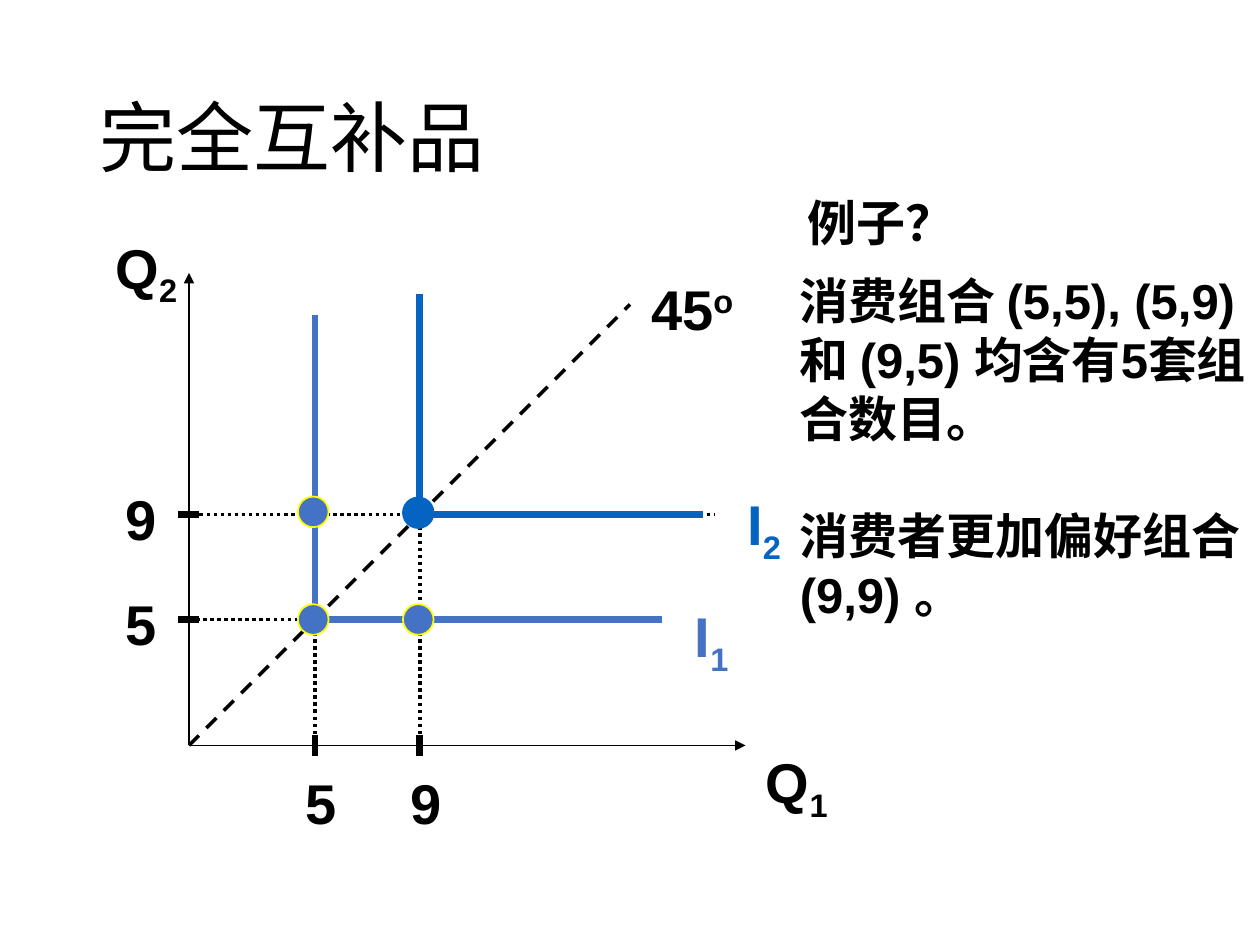
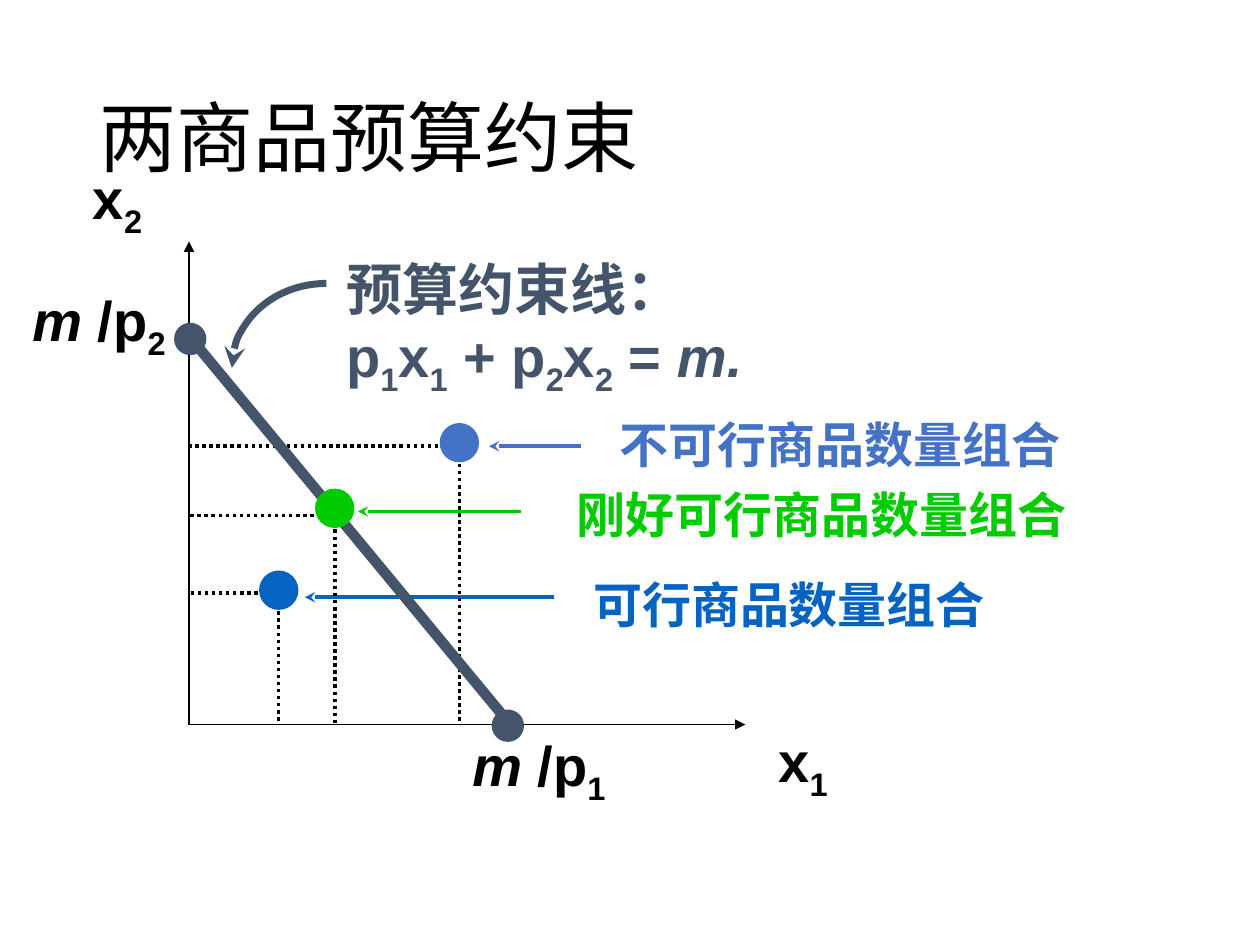
from dataclasses import dataclass
from typing import Any, NamedTuple

import pptx
import pptx.dml.color
import pptx.enum.dml
import pptx.enum.lang
import pptx.enum.shapes
import pptx.enum.text
import pptx.oxml
import pptx.oxml.ns
import pptx.util

Pt = pptx.util.Pt
qn = pptx.oxml.ns.qn
Dash = pptx.enum.dml.MSO_LINE
Kind = pptx.enum.shapes.MSO_SHAPE
Point = tuple[float, float]

HUES = {
    "black": "000000",
    "yellow": "FFFF00",
    "blue": "4472C4",
    "deep": "0563C1",
    "slate": "44546A",
    "green": "00CC00",
}
FONT = {
    "name": "Arial",
    "bold": True,
    "language_id": pptx.enum.lang.MSO_LANGUAGE_ID.SIMPLIFIED_CHINESE,
}
TITLE = FONT | {"name": "Calibri", "bold": False}
LEFT = 108  # x of the vertical axis on both slides
DOT = 17.5
BIG = 22.5


class Run(NamedTuple):
    text: str
    base: int = 0
    ital: bool = False


class Label(NamedTuple):
    x: float
    y: float
    wide: float
    high: float
    paras: list[list[Run]]
    hue: str = "black"
    size: int = 32
    wrap: bool = False
    gap: float = 0


@dataclass
class Stroke:
    start: Point
    end: Point
    hue: str = "black"
    width: float = 1
    dash: Any = None
    tip: str = ""


@dataclass
class Bundle:
    """A marked point with its guides, arrow and caption."""
    hue: str
    mid: Point
    guide: float
    arrow: tuple[float, float, float]
    label: Point
    wide: float
    text: str


def rgb(hue: str) -> pptx.dml.color.RGBColor:
    return pptx.dml.color.RGBColor.from_string(HUES[hue])


def assign(obj: Any, values: dict[str, Any]) -> None:
    for name, value in values.items():
        setattr(obj, name, value)


def sub(text: str, low: str) -> list[Run]:
    """Text followed by a subscript."""
    return [Run(text), Run(low, -25)]


def write(slide: Any, label: Label, font: dict[str, Any] = FONT) -> Any:
    box = slide.shapes.add_textbox(*map(Pt, label[:4]))
    frame = box.text_frame
    assign(frame, {
        "word_wrap": label.wrap,
        "auto_size": pptx.enum.text.MSO_AUTO_SIZE.SHAPE_TO_FIT_TEXT,
    })
    for i, runs in enumerate(label.paras):
        para = frame.add_paragraph() if i else frame.paragraphs[0]
        if i and label.gap:
            para.space_before = Pt(label.gap)
        for part in runs:
            run = para.add_run()
            run.text = part.text
            assign(run.font, font | {"size": Pt(label.size), "italic": part.ital})
            run.font.color.rgb = rgb(label.hue)
            if part.base:
                run.font._element.set("baseline", str(part.base * 1000))
    return box


def ink(shape: Any, hue: str, width: float) -> None:
    shape.line.color.rgb = rgb(hue)
    shape.line.width = Pt(width)


def point(shape: Any, end: str, kind: str) -> None:
    """Put an arrowhead on the headEnd or tailEnd of an outline."""
    line = shape.element.spPr.find(qn("a:ln"))
    line.append(pptx.oxml.parse_xml(
        f'<a:{end} {pptx.oxml.ns.nsdecls("a")} type="{kind}"/>'))


def draw(slide: Any, stroke: Stroke) -> None:
    line = slide.shapes.add_connector(
        pptx.enum.shapes.MSO_CONNECTOR.STRAIGHT,
        *map(Pt, stroke.start + stroke.end))
    ink(line, stroke.hue, stroke.width)
    if stroke.dash:
        line.line.dash_style = stroke.dash
    if stroke.tip:
        point(line, "tailEnd", stroke.tip)
    line.element.spPr.append(pptx.oxml.parse_xml(
        f'<a:effectLst {pptx.oxml.ns.nsdecls("a")}/>'))


def dotted(slide: Any, start: Point, end: Point) -> None:
    draw(slide, Stroke(start, end, width=2, dash=Dash.ROUND_DOT))


def dot(slide: Any, mid: Point, size: float, hue: str, rim: str = "") -> None:
    x, y = mid
    disc = slide.shapes.add_shape(
        Kind.OVAL, Pt(x - size / 2), Pt(y - size / 2), Pt(size), Pt(size))
    disc.shadow.inherit = False
    disc.fill.solid()
    disc.fill.fore_color.rgb = rgb(hue)
    if rim:
        ink(disc, rim, 1)
    else:
        disc.line.fill.background()


def begin(deck: Any, title: str, top: float, base: float) -> Any:
    """Add a slide with its title and a pair of axes."""
    slide = deck.slides.add_slide(deck.slide_layouts[6])
    head = write(slide, Label(49.7, 28.8, 620.6, 104.4, [[Run(title)]],
                              size=44, wrap=True), TITLE)
    assign(head.text_frame, {
        "auto_size": pptx.enum.text.MSO_AUTO_SIZE.NONE,
        "vertical_anchor": pptx.enum.text.MSO_ANCHOR.MIDDLE,
    })
    head.text_frame.paragraphs[0].line_spacing = 0.9
    for end in ((LEFT, top), (426, base)):
        draw(slide, Stroke((LEFT, base), end, tip="triangle"))
    return slide


def goods(deck: Any) -> None:
    base = 426
    slide = begin(deck, "完全互补品", 156, base)
    steps = {"5": 72, "9": 132}
    (x5, y5), (x9, y9) = [(LEFT + s, base - s) for s in steps.values()]

    for name, step in steps.items():
        x, y = LEFT + step, base - step
        draw(slide, Stroke((x, base - 6), (x, base + 6), width=4))
        draw(slide, Stroke((LEFT + 6, y), (LEFT - 6, y), width=4))
        write(slide, Label(64.8, y - 20.5, 32.4, 45.4, [[Run(name)]]))
        write(slide, Label(x - 12.5, 435.6, 32.4, 45.4, [[Run(name)]]))

    draw(slide, Stroke((LEFT, base), (360, 174), width=2, dash=Dash.DASH))
    dotted(slide, (x5, 180), (x5, base))
    dotted(slide, (LEFT, y5), (378, y5))
    dotted(slide, (x9, 168), (x9, base))
    dotted(slide, (LEFT + 6, y9), (408, y9))

    for x, y, top, right, hue in ((x5, y5, 180, 378, "blue"),
                                  (x9, y9, 168, 402, "deep")):
        draw(slide, Stroke((x, top), (x, y), hue, 4))
        draw(slide, Stroke((x, y), (right, y), hue, 4))
    for mid in ((x5 - 1, y9 - 1.5), (x5 - 1, y5), (x9 - 1, y5)):
        dot(slide, mid, DOT, "blue", "yellow")
    dot(slide, (x9 - 1, y9 - 1), DOT, "deep", "deep")

    for label in (
        Label(59, 129.6, 51.8, 46, [sub("Q", "2")]),
        Label(430.6, 423.4, 51.8, 46, [sub("Q", "1")]),
        Label(420, 276, 42, 45.4, [sub("I", "2")], "deep", wrap=True),
        Label(390, 340, 36, 46, [sub("I", "1")], "blue", wrap=True),
        Label(365, 153.4, 63.4, 45.4, [[Run("45"), Run("o", 30)]]),
        Label(450, 151.2, 276.5, 211, [
            [Run("消费组合 (5,5), (5,9) 和 (9,5) 均含有5套组合数目。")],
            [Run("消费者更加偏好组合(9,9) 。")],
        ], size=28, wrap=True, gap=33.5),
        Label(454.3, 106.6, 276.5, 41, [[Run("例子？")]], size=28, wrap=True),
    ):
        write(slide, label)


def budget(deck: Any) -> None:
    base = 414
    slide = begin(deck, "两商品预算约束", 138, base)
    bundles = [
        Bundle("deep", (159.3, 337.3), 339, (316.8, 174.2, 341.3),
               (331.9, 324.7), 242, "可行商品数量组合"),
        Bundle("green", (191.3, 290.5), 294.5, (298, 204.5, 292.3),
               (322.6, 273.6), 298.8, "刚好可行商品数量组合"),
        Bundle("blue", (262.5, 253), 255, (332, 279.4, 255),
               (347, 233.3), 270, "不可行商品数量组合"),
    ]
    for item in bundles:
        x, y = item.mid
        dotted(slide, (x, item.guide), (LEFT, item.guide))
        dotted(slide, (x, y), (x, base))
        start, end, high = item.arrow
        draw(slide, Stroke((start, high), (end, high), item.hue, 2, tip="stealth"))
        write(slide, Label(*item.label, item.wide, 41, [[Run(item.text)]],
                           item.hue, 28))

    draw(slide, Stroke((LEFT, 192), (291.6, base), "slate", 6))
    for mid in ((108.7, 193.7), (290.2, 414.7)):
        dot(slide, mid, DOT, "slate", "slate")
    for item in bundles:
        dot(slide, item.mid, BIG, item.hue)

    arc = slide.shapes.add_shape(Kind.ARC, *map(Pt, (132.5, 162, 108, 96.5)))
    arc.shadow.inherit = False
    arc.fill.background()
    arc.adjustments[0], arc.adjustments[1] = 108, 162  # 180 to 270 degrees
    ink(arc, "slate", 4)
    point(arc, "headEnd", "stealth")

    rule = [*sub("p", "1"), *sub("x", "1"), *sub(" + p", "2"), *sub("x", "2"),
            Run(" = "), Run("m.", ital=True)]
    for label in (
        Label(46, 90, 50.4, 46, [sub("x", "2")], wrap=True),
        Label(437.8, 411.8, 48.2, 45.4, [sub("x", "1")], wrap=True),
        Label(190.8, 141.8, 249, 85, [[Run("预算约束线：")], rule], "slate"),
    ):
        write(slide, label)
    for x, y, low in ((262.8, 414, "1"), (11.5, 159.8, "2")):
        runs = [Run("m ", ital=True), *sub("/p", low)]
        write(slide, Label(x, y, 97, 45.4, [runs], wrap=True))


def main() -> None:
    deck = pptx.Presentation()
    assign(deck, {"slide_width": Pt(720), "slide_height": Pt(540)})
    goods(deck)
    budget(deck)
    deck.save("out.pptx")


if __name__ == "__main__":
    main()
